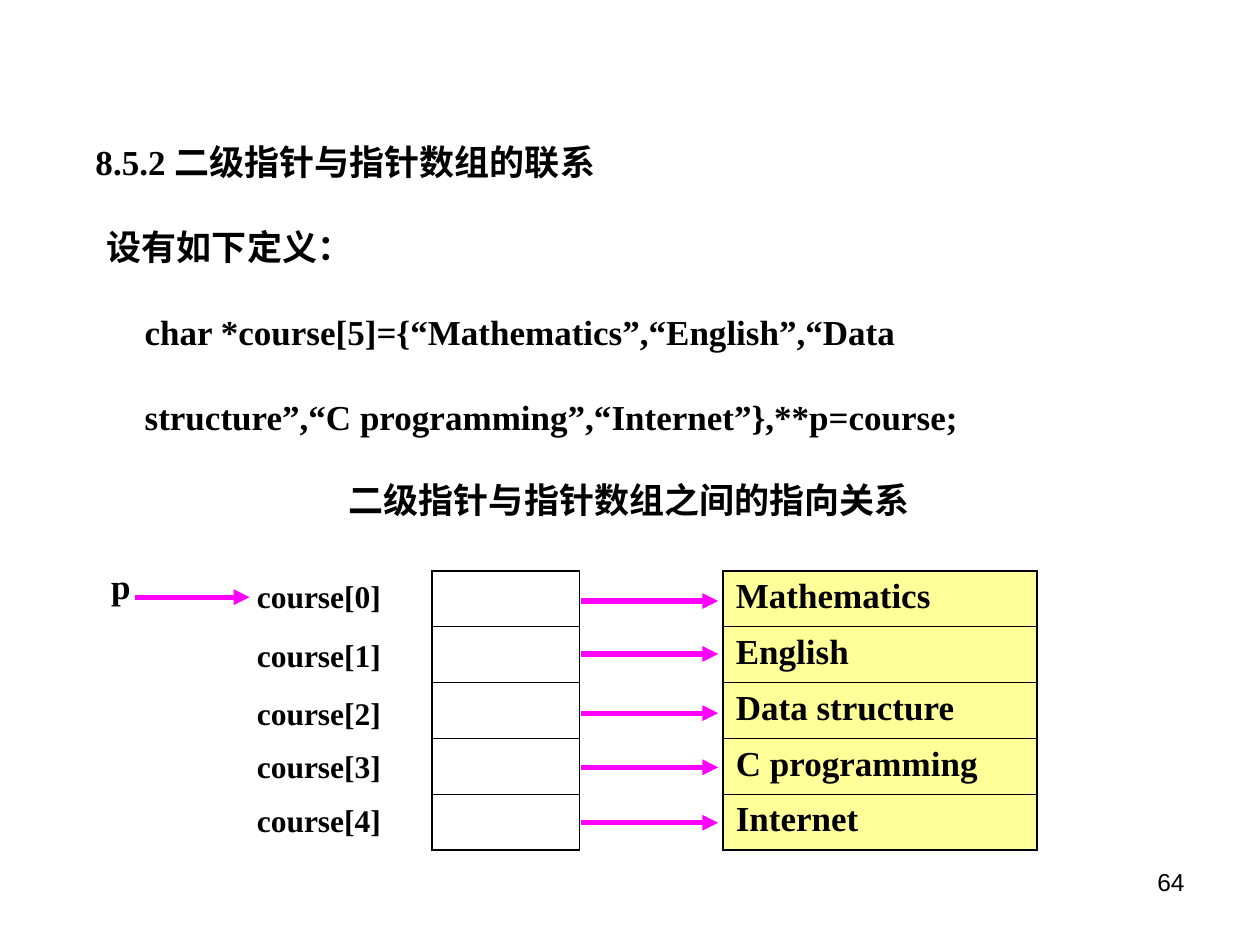
from pptx import Presentation
from pptx.dml.color import RGBColor
from pptx.enum.shapes import MSO_CONNECTOR as Conn
from pptx.enum.text import PP_ALIGN as Align
from pptx.oxml.ns import qn
from pptx.util import Inches, Pt
from lxml.etree import SubElement as Sub

SERIF = "Times New Roman"
INTRO = [
    ("8.5.2 二级指针与指针数组的联系", 0.16),
    ("设有如下定义：", 0.25),
    ("char *course[5]={“Mathematics”,“English”,“Data", 0.55),
    ("structure”,“C programming”,“Internet”},**p=course;", 0.55),
]
NAMES = ["Mathematics", "English", "Data structure", "C programming", "Internet"]
LABEL_TOPS = [4.53, 5, 5.46, 5.88, 6.31]
ARROW_TOPS = [4.77, 5.19, 5.66, 6.09, 6.53]
TABLE_TOP, TABLE_HEIGHT = 4.53, 2.22
BLACK, PINK, YELLOW = "000000", "FF00FF", "FFFF99"


def color(code):
    return RGBColor.from_string(code)


def style(par, text, size=20, font=SERIF, bold=True, align=Align.LEFT):
    par.alignment = align
    run = par.add_run()
    run.text = text
    run.font.size = Pt(size)
    run.font.name = font
    run.font.bold = bold
    run.font.color.rgb = color(BLACK)


def add_box(place):
    box = slide.shapes.add_textbox(*map(Inches, place))
    box.text_frame.word_wrap = True
    return box.text_frame


def add_text(text, place, **form):
    style(add_box(place).paragraphs[0], text, **form)


def add_arrow(start, end, top):
    line = slide.shapes.add_connector(
        Conn.STRAIGHT, Inches(start), Inches(top), Inches(end), Inches(top))
    line.line.color.rgb = color(PINK)
    line.line.width = Pt(3)
    Sub(line.line._get_or_add_ln(), qn("a:tailEnd"), type="triangle")
    Sub(line._element.spPr, qn("a:effectLst"))


def add_edge(cell, side, width):
    edge = Sub(cell._tc.get_or_add_tcPr(), qn("a:ln" + side), w=str(Pt(width)))
    fill = Sub(edge, qn("a:solidFill"))
    Sub(fill, qn("a:srgbClr"), val=BLACK)


def add_grid(left, width, words, fill=None):
    count = len(words)
    frame = slide.shapes.add_table(
        count, 1, Inches(left), Inches(TABLE_TOP), Inches(width), Inches(TABLE_HEIGHT))
    table = frame.table
    table.first_row = table.horz_banding = False
    for i, word in enumerate(words):
        cell = table.cell(i, 0)
        top = 1.08 if i == 0 else 0.45
        base = 1.08 if i == count - 1 else 0.45
        for side, size in zip("LRTB", (1.08, 1.08, top, base)):
            add_edge(cell, side, size)
        if fill:
            cell.fill.solid()
            cell.fill.fore_color.rgb = color(fill)
        else:
            cell.fill.background()
        if word:
            style(cell.text_frame.paragraphs[0], word)


deck = Presentation()
deck.slide_width, deck.slide_height = Inches(10), Inches(7.5)
slide = deck.slides.add_slide(deck.slide_layouts[6])

intro = add_box((0.5, 0.9, 8.83, 2.72))
for i, (text, indent) in enumerate(INTRO):
    par = intro.add_paragraph() if i else intro.paragraphs[0]
    par._p.get_or_add_pPr().set("marL", str(Inches(indent)))
    par.line_spacing = 1.5
    if i:
        par.space_before = Pt(12.5)
    style(par, text)

add_grid(3.43, 1.17, [""] * len(NAMES))
add_grid(5.74, 2.49, NAMES, YELLOW)
add_text("p", (0.71, 4.43, 0.5, 0.44), align=Align.CENTER)
add_arrow(1.07, 1.98, 4.74)
for top in ARROW_TOPS:
    add_arrow(4.61, 5.7, top)
add_text("二级指针与指针数组之间的指向关系", (1.83, 3.75, 6.33, 0.44), align=Align.CENTER)
for i, top in enumerate(LABEL_TOPS):
    add_text(f"course[{i}]", (1.94, top, 1.3, 0.4), size=18)
add_text("64", (7.17, 6.83, 2.33, 0.52), size=14, font="Arial", bold=False, align=Align.RIGHT)

deck.save("out.pptx")
